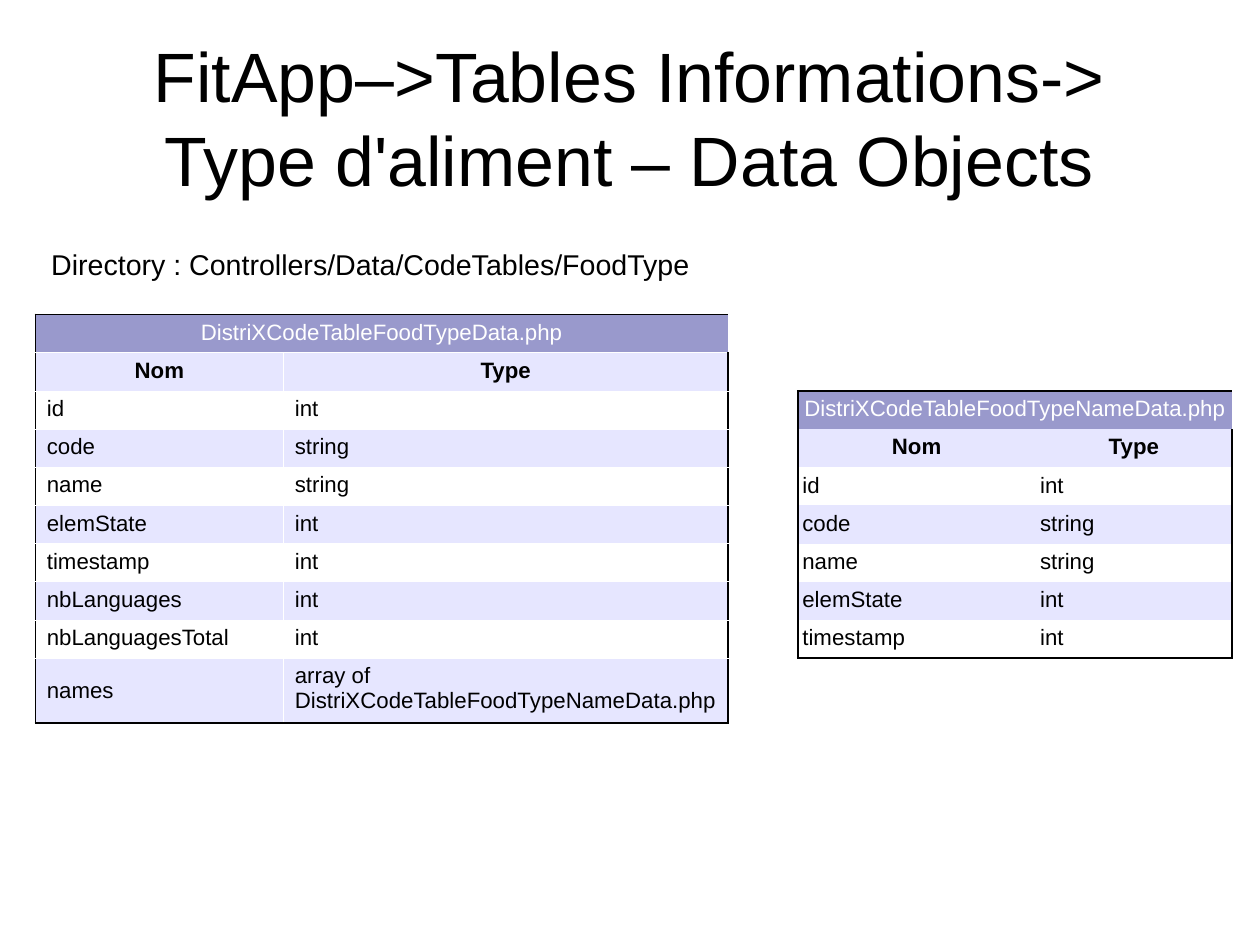
from dataclasses import dataclass

from lxml import etree
from pptx import Presentation
from pptx import util as u
from pptx.dml import color as c
from pptx.enum import text
from pptx.oxml import ns


@dataclass(frozen=True)
class Theme:
    """Colours, font and type sizes of the slide."""
    font: str = "Arial"
    ink: str = "000000"
    paper: str = "FFFFFF"
    header: str = "9999CC"
    band: str = "E6E6FF"
    title_size: float = 44
    note_size: float = 18
    cell_size: float = 14
    frame_width: float = 1.13
    grid_width: float = 0.06


THEME = Theme()
CM_PER_INCH = 2.54
ROW_HEIGHT = 0.33
COMMON_FIELDS = [("id", "int"), ("code", "string"), ("name", "string"),
                 ("elemState", "int"), ("timestamp", "int")]
FOOD_TYPE_FIELDS = COMMON_FIELDS + [
    ("nbLanguages", "int"), ("nbLanguagesTotal", "int"),
    ("names", "array of\vDistriXCodeTableFoodTypeNameData.php")]


def write(frame, words, size, color=THEME.ink, bold=False, centred=False):
    """Fill a text frame with one formatted paragraph."""
    frame.word_wrap = True
    para = frame.paragraphs[0]
    para.text = words
    para.alignment = text.PP_ALIGN.CENTER if centred else text.PP_ALIGN.LEFT
    for span in para.runs:
        span.font.name = THEME.font
        span.font.size = u.Pt(size)
        span.font.bold = bold
        span.font.color.rgb = c.RGBColor.from_string(color)


def add_text(page, place, words, size, centred=False):
    """Add a text box and return its frame."""
    box = page.shapes.add_textbox(*(u.Inches(length) for length in place))
    write(box.text_frame, words, size, centred=centred)
    return box.text_frame


def set_border(cell, index, side, color, width):
    """Draw one cell edge, or hide it when no colour is given."""
    line = etree.Element(ns.qn(f"a:ln{side}"), w=str(u.Pt(width)))
    if color:
        fill = etree.SubElement(line, ns.qn("a:solidFill"))
        etree.SubElement(fill, ns.qn("a:srgbClr"), val=color)
    else:
        etree.SubElement(line, ns.qn("a:noFill"))
    cell._tc.get_or_add_tcPr().insert(index, line)


def style_cell(cell, row, column, last_row, margin, grid):
    """Set the fill, margins and edges that follow from a cell's position."""
    cell.fill.solid()
    color = THEME.header if row == 0 else (THEME.band if row % 2 else THEME.paper)
    cell.fill.fore_color.rgb = c.RGBColor.from_string(color)
    cell.margin_left = cell.margin_right = u.Inches(margin)
    framed = {"L": column == 0, "R": column == 1 and row > 0,
              "T": row == 0, "B": row == last_row}
    for index, (side, outer) in enumerate(framed.items()):
        set_border(cell, index, side, THEME.ink if outer else grid,
                   THEME.frame_width if outer else THEME.grid_width)


def add_data_table(page, left, top, widths, name, fields, margin, grid=None):
    """Add a data object table with its file name, headings and fields."""
    rows = [(name, ""), ("Nom", "Type")] + fields
    table = page.shapes.add_table(
        len(rows), 2, u.Inches(left), u.Inches(top),
        u.Inches(sum(widths)), u.Inches(ROW_HEIGHT * len(rows))).table
    table.first_row = table.horz_banding = False
    for column, width in zip(table.columns, widths):
        column.width = u.Inches(width)
    for row, values in enumerate(rows):
        table.rows[row].height = u.Inches(ROW_HEIGHT)
        for column, words in enumerate(values):
            cell = table.cell(row, column)
            style_cell(cell, row, column, len(rows) - 1, margin, grid)
            write(cell.text_frame, words, THEME.cell_size,
                  THEME.paper if row == 0 else THEME.ink,
                  bold=row == 1, centred=row < 2)
    table.cell(0, 0).merge(table.cell(0, 1))
    return table


def main():
    """Build the slide and save it."""
    deck = Presentation()
    deck.slide_width = u.Inches(28 / CM_PER_INCH)
    deck.slide_height = u.Inches(21 / CM_PER_INCH)
    page = deck.slides.add_slide(deck.slide_layouts[6])

    title = add_text(
        page, (0.55, 0.33, 9.92, 1.38),
        "FitApp–>Tables Informations->\vType d'aliment – Data Objects",
        THEME.title_size, centred=True)
    title.vertical_anchor = text.MSO_ANCHOR.MIDDLE
    title.margin_left = title.margin_right = 0
    title.margin_top = title.margin_bottom = 0

    food_type = add_data_table(
        page, 0.31, 2.75, (2.17, 3.89), "DistriXCodeTableFoodTypeData.php",
        FOOD_TYPE_FIELDS, margin=0.1, grid=THEME.paper)
    last_row = len(food_type.rows) - 1
    food_type.rows[last_row].height = u.Inches(0.57)
    food_type.cell(last_row, 0).vertical_anchor = text.MSO_ANCHOR.MIDDLE

    add_data_table(
        page, 6.98, 3.42, (2.08, 1.72), "DistriXCodeTableFoodTypeNameData.php",
        COMMON_FIELDS, margin=0.04)
    add_text(page, (0.35, 2.11, 5.87, 0.38),
             "Directory : Controllers/Data/CodeTables/FoodType", THEME.note_size)
    deck.save("out.pptx")


if __name__ == "__main__":
    main()
